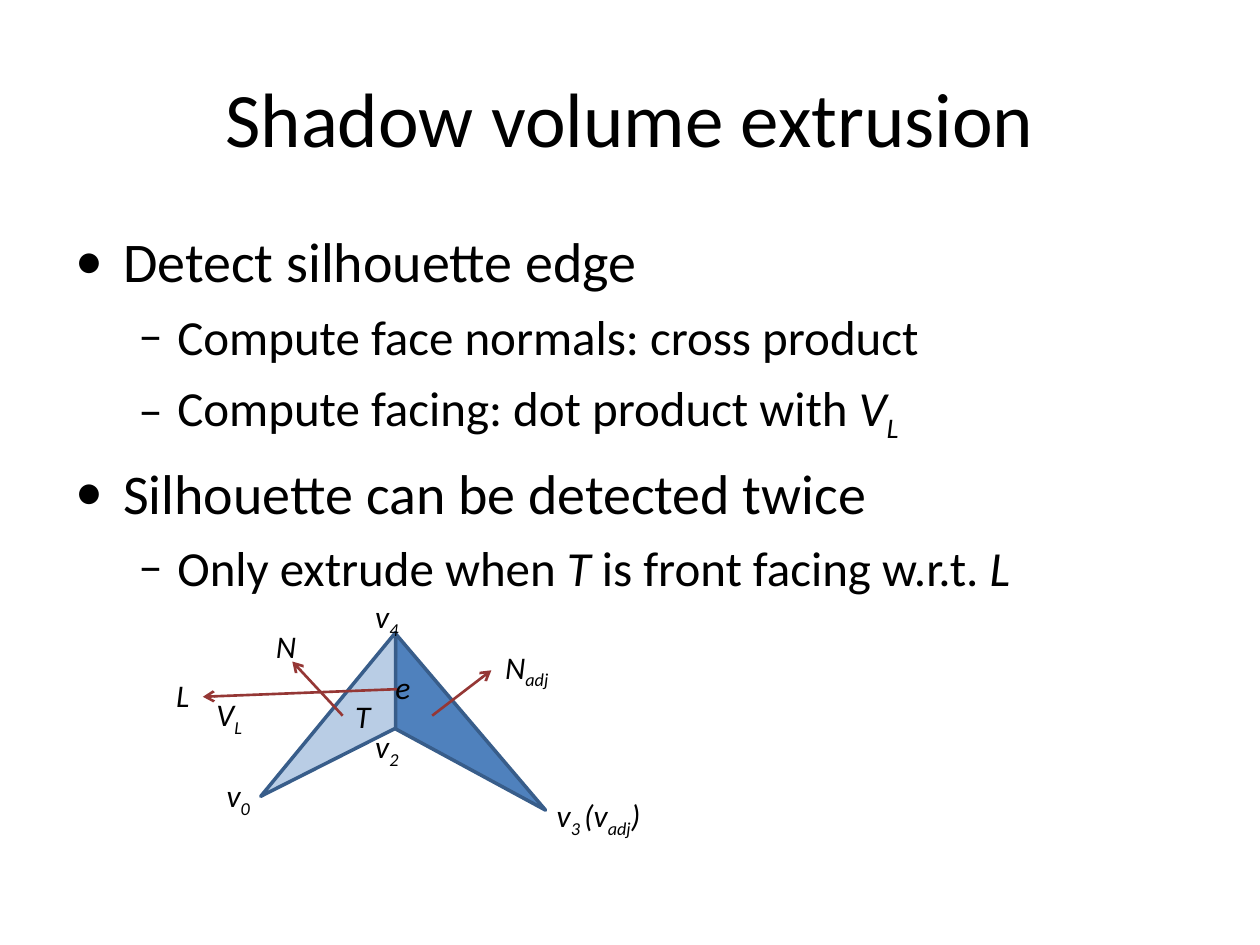
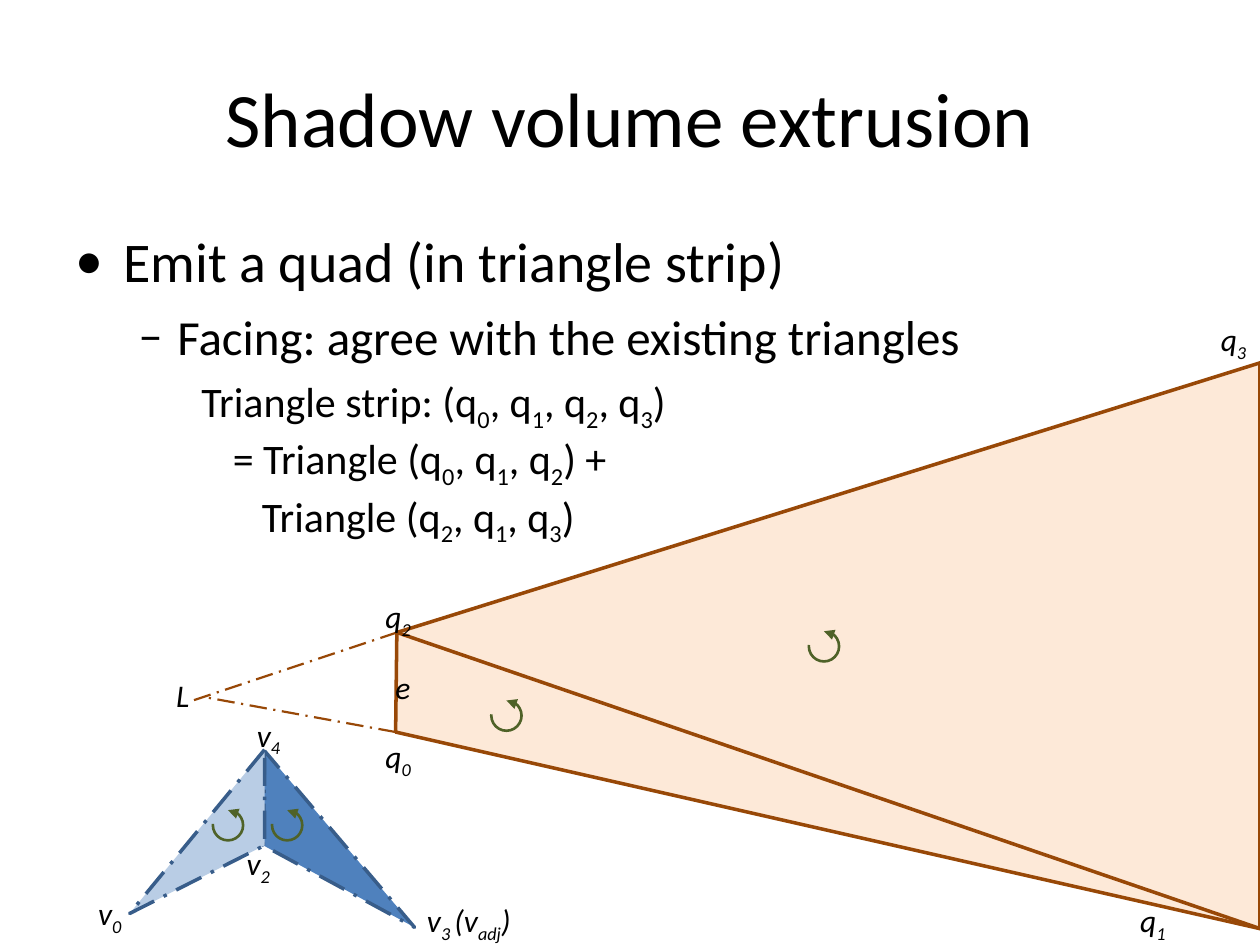
"""Build two slides that explain shadow volume extrusion."""
from dataclasses import dataclass

from lxml import etree
from pptx import Presentation
from pptx import util as u
from pptx.dml.color import RGBColor
from pptx.enum import dml, shapes, text
from pptx.oxml.ns import qn

PX = 9144


@dataclass(frozen=True)
class Theme:
    font: str = "Calibri"
    ink: str = "000000"
    adjacent_face: str = "4F81BD"
    lit_face: str = "B9CDE5"
    face_edge: str = "385D8A"
    vector: str = "953735"
    volume: str = "FAC090"
    volume_edge: str = "984807"
    winding: str = "4F6228"
    title_size: int = 44
    label_size: int = 18
    thick: float = 2
    medium: float = 1.5
    thin: float = 1.25


THEME = Theme()
DASHED = dml.MSO_LINE.LONG_DASH_DOT

# level: (size, margin, indent, space before, bullet)
LEVELS = {
    "point": (32, 38, -38, 8, "•"),
    "detail": (28, 81, -31, 7, "–"),
    "formula": (24, 125, -25, 6, None),
    "equals": (24, 125, 0, 0, None),
    "term": (24, 148, 0, 0, None),
}


def px(length):
    return u.Emu(length * PX)


def subscripted(*parts, style=""):
    """Return runs in which every second part is a subscript."""
    return [(part, style + "s" * (index % 2)) for index, part in enumerate(parts)]


def add_runs(paragraph, runs, size):
    for words, style in runs:
        run = paragraph.add_run()
        run.text = words
        run.font.name = THEME.font
        run.font.size = u.Pt(size)
        run.font.color.rgb = RGBColor.from_string(THEME.ink)
        run.font.italic = "i" in style
        if "s" in style:
            run.font._element.set("baseline", "-25000")


def add_text_frame(slide, left, top, width, height):
    box = slide.shapes.add_textbox(px(left), px(top), px(width), px(height))
    box.text_frame.word_wrap = True
    return box.text_frame


def add_title(slide, words):
    frame = add_text_frame(slide, 50, 30, 900, 125)
    frame.vertical_anchor = text.MSO_ANCHOR.MIDDLE
    paragraph = frame.paragraphs[0]
    paragraph.alignment = text.PP_ALIGN.CENTER
    add_runs(paragraph, [(words, "")], THEME.title_size)


def add_bullet(properties, character):
    color = etree.SubElement(properties, qn("a:buClr"))
    etree.SubElement(color, qn("a:srgbClr")).set("val", THEME.ink)
    etree.SubElement(properties, qn("a:buFont")).set("typeface", THEME.font)
    etree.SubElement(properties, qn("a:buChar")).set("char", character)


def add_body(slide, lines):
    frame = add_text_frame(slide, 50, 175, 900, 495)
    for index, (level, runs) in enumerate(lines):
        size, margin, indent, before, bullet = LEVELS[level]
        paragraph = frame.add_paragraph() if index else frame.paragraphs[0]
        properties = paragraph._p.get_or_add_pPr()
        properties.set("marL", str(px(margin)))
        properties.set("indent", str(px(indent)))
        if bullet:
            add_bullet(properties, bullet)
        if index:
            paragraph.space_before = u.Pt(before)
        paragraph.font.size = u.Pt(size)
        add_runs(paragraph, runs, size)


def add_label(slide, left, top, width, *parts):
    height = 44 if len(parts) > 1 else 40
    frame = add_text_frame(slide, left, top, width, height)
    add_runs(frame.paragraphs[0], subscripted(*parts, style="i"), THEME.label_size)


def style_line(shape, color, width, dash=None, **arrowheads):
    shape.line.color.rgb = RGBColor.from_string(color)
    shape.line.width = u.Pt(width)
    if dash:
        shape.line.dash_style = dash
    for end, kind in arrowheads.items():
        etree.SubElement(shape.line._get_or_add_ln(), qn(f"a:{end}")).set("type", kind)


def add_line(slide, start, end, color, width, dash=None, **arrowheads):
    line = slide.shapes.add_connector(
        shapes.MSO_CONNECTOR.STRAIGHT, *map(px, start + end))
    style_line(line, color, width, dash, **arrowheads)
    etree.SubElement(line._element.spPr, qn("a:effectLst"))


def add_polygon(slide, points, fill, edge, dash=None, opacity=None):
    builder = slide.shapes.build_freeform(*points[0], scale=PX)
    builder.add_line_segments(points[1:], close=True)
    polygon = builder.convert_to_shape()
    polygon.shadow.inherit = False
    polygon.fill.solid()
    polygon.fill.fore_color.rgb = RGBColor.from_string(fill)
    if opacity:
        color = polygon._element.spPr.find(qn("a:solidFill"))[0]
        etree.SubElement(color, qn("a:alpha")).set("val", str(opacity * 1000))
    style_line(polygon, edge, THEME.thick, dash)


def add_face_pair(slide, across=0, down=0, dash=None):
    """Draw the adjacent face and the lit face, moved by an offset."""
    adjacent = [(314, 503), (313, 578), (433, 643)]
    lit = [(314, 502), (207, 632), (314, 578)]
    for points, fill in ((adjacent, THEME.adjacent_face), (lit, THEME.lit_face)):
        moved = [(x + across, y + down) for x, y in points]
        add_polygon(slide, moved, fill, THEME.face_edge, dash)


def add_winding_arrow(slide, left, top):
    arc = slide.shapes.add_shape(
        shapes.MSO_SHAPE.ARC, px(left), px(top), px(24), px(24))
    arc.adjustments[0] = 162
    arc.adjustments[1] = 111
    arc.shadow.inherit = False
    arc.fill.background()
    style_line(arc, THEME.winding, THEME.medium, headEnd="triangle")


def add_slide(presentation, lines):
    slide = presentation.slides.add_slide(presentation.slide_layouts[6])
    add_title(slide, "Shadow volume extrusion")
    add_body(slide, lines)
    return slide


def build_detection(presentation):
    slide = add_slide(presentation, [
        ("point", [("Detect silhouette edge", "")]),
        ("detail", [("Compute face normals: cross product", "")]),
        ("detail", [("Compute facing: dot product with ", ""), ("V", "i"), ("L", "is")]),
        ("point", [("Silhouette can be detected twice", "")]),
        ("detail", [("Only extrude when ", ""), ("T", "i"),
                    (" is front facing w.r.t. ", ""), ("L", "i")]),
    ])
    add_face_pair(slide)
    for start, end in (((315, 547), (161, 553)),
                       ((272, 568), (232, 525)),
                       ((343, 568), (390, 532))):
        add_line(slide, start, end, THEME.vector, THEME.medium, tailEnd="arrow")
    for label in ((130, 532, 32, "L"), (272, 548, 34, "T"), (304, 525, 34, "e"),
                  (170, 611, 44, "v", "0"), (288, 572, 44, "v", "2"),
                  (288, 469, 44, "v", "4"), (209, 493, 38, "N"),
                  (391, 509, 62, "N", "adj"), (162, 547, 44, "V", "L"),
                  (432, 627, 98, "v", "3 ", "(v", "adj", ")")):
        add_label(slide, *label)


def build_extrusion(presentation):
    slide = add_slide(presentation, [
        ("point", [("Emit a quad (in triangle strip)", "")]),
        ("detail", [("Facing: agree with the existing triangles", "")]),
        ("formula", subscripted("Triangle strip: (q", "0", ", q", "1", ", q", "2",
                                ", q", "3", ")")),
        ("equals", subscripted("= Triangle (q", "0", ", q", "1", ", q", "2", ") +")),
        ("term", subscripted("Triangle (q", "2", ", q", "1", ", q", "3", ")")),
    ])
    q0, q1, q2, q3 = (314, 581), (1000, 737), (315, 502), (1000, 288)
    add_polygon(slide, [q2, q3, q1, q0], THEME.volume, THEME.volume_edge, opacity=35)
    add_line(slide, q2, (153, 556), THEME.volume_edge, THEME.thin, DASHED)
    add_line(slide, q0, (161, 553), THEME.volume_edge, THEME.thin, DASHED)
    add_line(slide, q2, q1, THEME.volume_edge, THEME.thick)
    add_face_pair(slide, -104, 93, DASHED)
    for corner in ((642, 501), (169, 643), (216, 643), (390, 556)):
        add_winding_arrow(slide, *corner)
    for label in ((130, 532, 32, "L"), (304, 525, 34, "e"),
                  (68, 705, 44, "v", "0"), (186, 665, 44, "v", "2"),
                  (194, 563, 44, "v", "4"), (296, 469, 41, "q", "2"),
                  (895, 710, 41, "q", "1"), (296, 580, 41, "q", "0"),
                  (959, 249, 41, "q", "3"),
                  (329, 710, 98, "v", "3 ", "(v", "adj", ")")):
        add_label(slide, *label)


def main():
    presentation = Presentation()
    presentation.slide_width = px(1000)
    presentation.slide_height = px(750)
    build_detection(presentation)
    build_extrusion(presentation)
    presentation.save("out.pptx")


if __name__ == "__main__":
    main()
